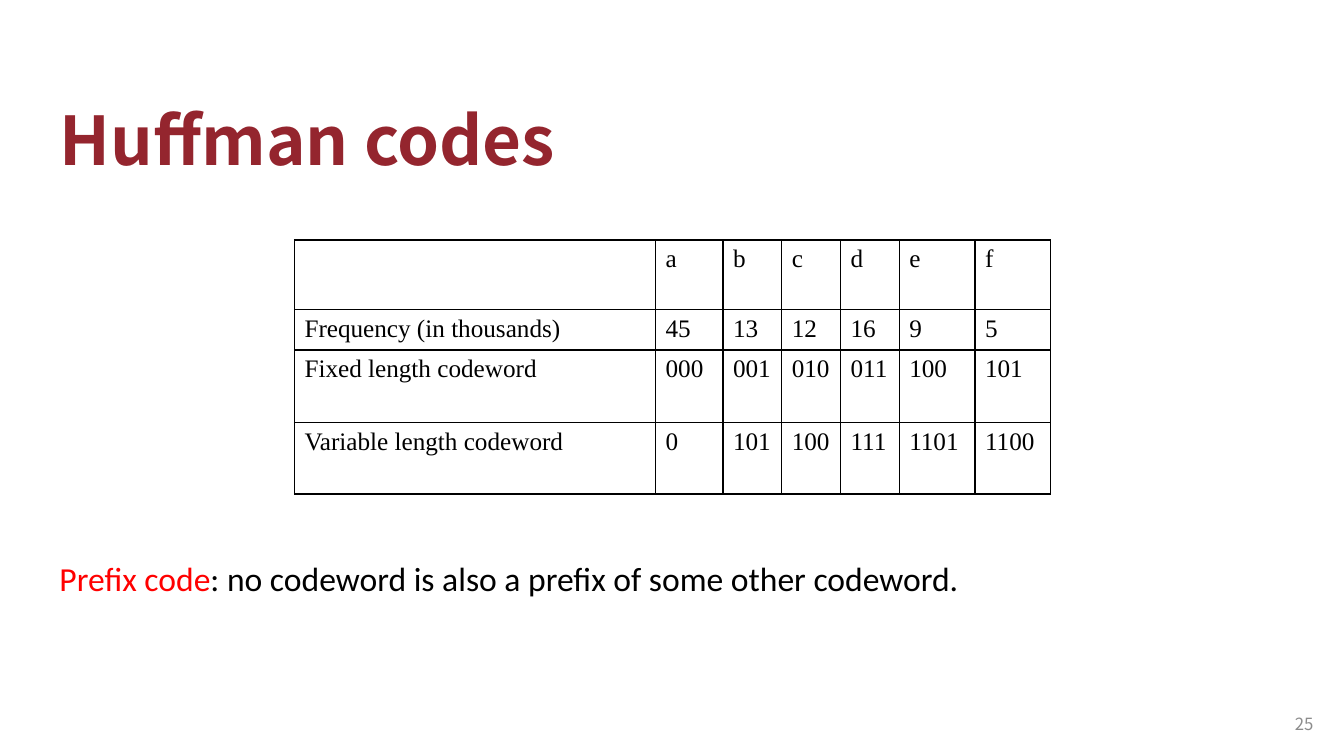
from pptx import Presentation
from pptx.util import Cm, Pt
from pptx.dml.color import RGBColor
from pptx.enum.text import MSO_ANCHOR, PP_ALIGN
from pptx.oxml import parse_xml
from pptx.oxml.ns import nsdecls

WINE = RGBColor(0x94, 0x25, 0x2E)
RED = RGBColor(0xFF, 0x00, 0x00)
BLACK = RGBColor(0x00, 0x00, 0x00)
GRAY = RGBColor(0x8C, 0x8C, 0x8C)
HEAD = "Noto Sans CJK SC"
BODY = "Calibri"
GRID = "Times New Roman"

COLS = [9.1, 1.7, 1.48, 1.48, 1.48, 1.91, 1.91]
ROWS = [1.75, 1.02, 1.83, 1.8]
CODES = [
    ["", "a", "b", "c", "d", "e", "f"],
    ["Frequency (in thousands)", "45", "13", "12", "16", "9", "5"],
    ["Fixed length codeword", "000", "001", "010", "011", "100", "101"],
    ["Variable length codeword", "0", "101", "100", "111", "1101", "1100"],
]


def write(para, text, font=BODY, size=24, color=BLACK, bold=False):
    run = para.add_run()
    run.text = text
    run.font.name = font
    run.font.size = Pt(size)
    run.font.color.rgb = color
    run.font.bold = bold


def frame(slide, box, anchor=MSO_ANCHOR.TOP, align=PP_ALIGN.LEFT, space=1.0):
    """Add a text box and return its first paragraph."""
    text = slide.shapes.add_textbox(*map(Cm, box)).text_frame
    text.word_wrap = True
    text.vertical_anchor = anchor
    para = text.paragraphs[0]
    para.alignment = align
    para.line_spacing = space
    return para


def border(cell):
    props = cell._tc.get_or_add_tcPr()
    for at, side in enumerate(("lnL", "lnR", "lnT", "lnB")):
        props.insert(at, parse_xml(
            f'<a:{side} {nsdecls("a")} w="{Pt(1)}"><a:solidFill>'
            f'<a:srgbClr val="{BLACK}"/></a:solidFill></a:{side}>'))


def title(slide, box):
    para = frame(slide, box, anchor=MSO_ANCHOR.BOTTOM, space=0.9)
    write(para, "Huffman codes", font=HEAD, size=48, color=WINE, bold=True)


def table(slide, left, top):
    box = map(Cm, (left, top, sum(COLS), sum(ROWS)))
    grid = slide.shapes.add_table(len(ROWS), len(COLS), *box).table
    grid.first_row = grid.horz_banding = False
    for col, width in zip(grid.columns, COLS):
        col.width = Cm(width)
    for row, height, words in zip(grid.rows, ROWS, CODES):
        row.height = Cm(height)
        for cell, word in zip(row.cells, words):
            cell.fill.background()
            border(cell)
            if word:
                write(cell.text_frame.paragraphs[0], word, font=GRID, size=18)


def note(slide, box):
    para = frame(slide, box, space=0.9)
    write(para, "Prefix code", color=RED)
    write(para, ": no codeword is also a prefix of some other codeword.")


def number(slide, box):
    para = frame(slide, box, anchor=MSO_ANCHOR.MIDDLE, align=PP_ALIGN.RIGHT)
    write(para, "25", font=HEAD, size=12, color=GRAY)


def main():
    deck = Presentation()
    deck.slide_width, deck.slide_height = Cm(33.87), Cm(19.05)
    slide = deck.slides.add_slide(deck.slide_layouts[6])
    # Heading
    title(slide, (1.25, 2.24, 21.41, 2.41))
    # Code table
    table(slide, 7.42, 6.05)
    # Definition and page number
    note(slide, (1.25, 14.04, 32.13, 1.3))
    number(slide, (31.83, 17.73, 1.52, 1.02))
    deck.save("out.pptx")


if __name__ == "__main__":
    main()
